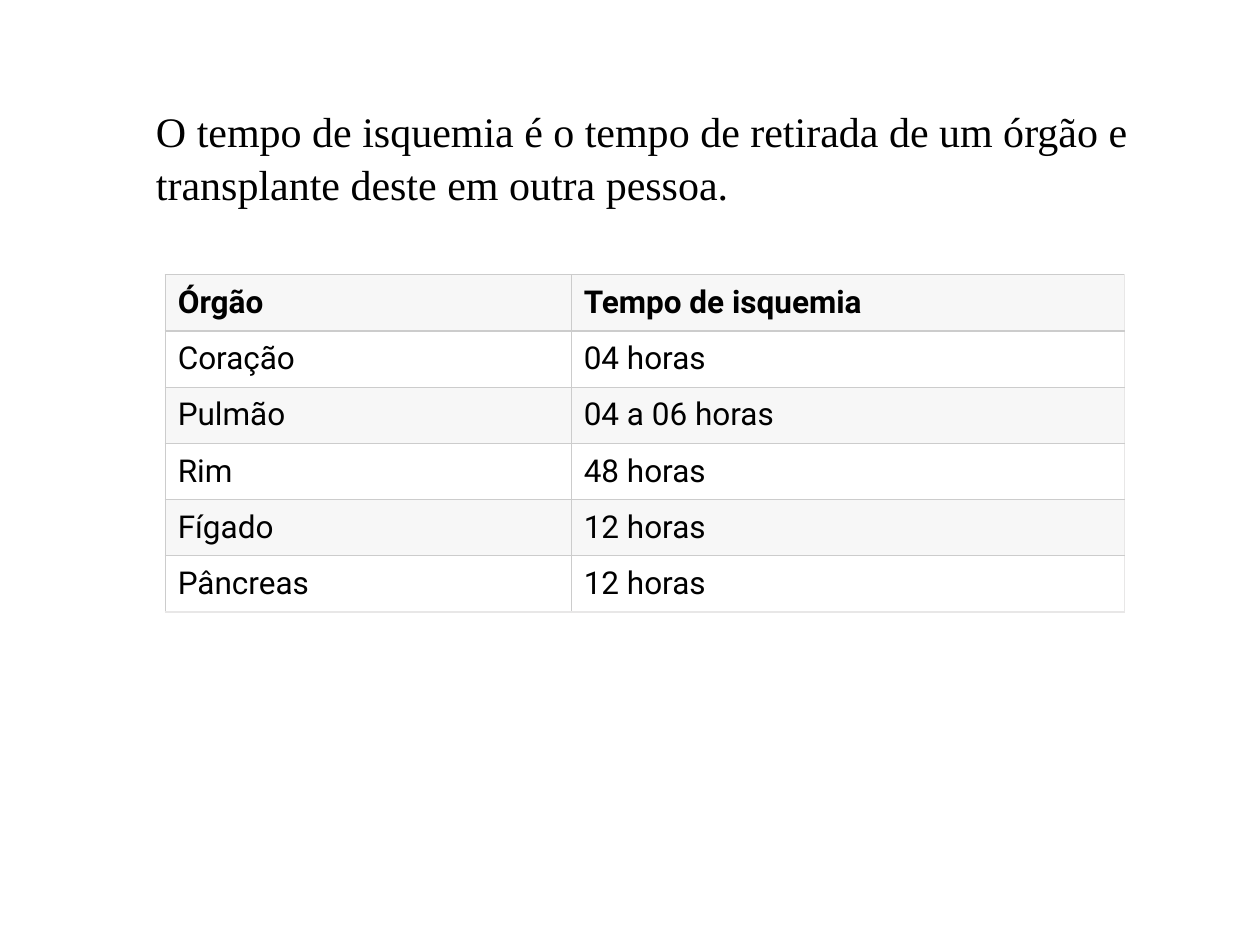
import pptx
import pptx.util
import pptx.dml.color
import pptx.enum.text
import pptx.oxml.ns
from lxml import etree

Pt = pptx.util.Pt

INTRO = "O tempo de isquemia é o tempo de retirada de um órgão e transplante deste em outra pessoa."
ROWS = [
    ("Órgão", "Tempo de isquemia"),
    ("Coração", "04 horas"),
    ("Pulmão", "04 a 06 horas"),
    ("Rim", "48 horas"),
    ("Fígado", "12 horas"),
    ("Pâncreas", "12 horas"),
]
COLUMN_WIDTHS = (232, 316.4)
ROW_HEIGHT = 32.12
TABLE_LEFT, TABLE_TOP = 94.4, 157
BAND, PLAIN = "F7F7F7", "FFFFFF"
INNER_LINE, OUTER_LINE = "CCCCCC", "E8E7E7"


def color(value):
    return pptx.dml.color.RGBColor.from_string(value)


def write(frame, text, font, size, bold=False, spacing=None):
    frame.word_wrap = True
    para = frame.paragraphs[0]
    para.line_spacing = spacing
    span = para.add_run()
    span.text = text
    span.font.name = font
    span.font.size = Pt(size)
    span.font.bold = bold
    span.font.color.rgb = color("000000")


def set_borders(cell, edges):
    properties = cell._tc.get_or_add_tcPr()
    qn = pptx.oxml.ns.qn
    for index, (side, value) in enumerate(edges.items()):
        line = etree.Element(qn(f"a:ln{side}"), w=str(Pt(0.75)))
        fill = etree.SubElement(line, qn("a:solidFill"))
        etree.SubElement(fill, qn("a:srgbClr"), val=value)
        properties.insert(index, line)


def add_organ_table(page):
    table = page.shapes.add_table(
        len(ROWS), len(COLUMN_WIDTHS), Pt(TABLE_LEFT), Pt(TABLE_TOP),
        Pt(sum(COLUMN_WIDTHS)), Pt(ROW_HEIGHT * len(ROWS)),
    ).table
    for column, width in zip(table.columns, COLUMN_WIDTHS):
        column.width = Pt(width)
    for row_index, values in enumerate(ROWS):
        table.rows[row_index].height = Pt(ROW_HEIGHT)
        last_row = row_index == len(ROWS) - 1
        for column_index, text in enumerate(values):
            last_column = column_index == len(values) - 1
            cell = table.cell(row_index, column_index)
            cell.fill.solid()
            cell.fill.fore_color.rgb = color(PLAIN if row_index % 2 else BAND)
            cell.vertical_anchor = pptx.enum.text.MSO_ANCHOR.MIDDLE
            cell.margin_left = cell.margin_right = Pt(7.2)
            cell.margin_top = cell.margin_bottom = Pt(3.6)
            write(cell.text_frame, text, font="Roboto", size=18, bold=row_index == 0)
            set_borders(cell, {
                "L": INNER_LINE,
                "R": OUTER_LINE if last_column else INNER_LINE,
                "T": INNER_LINE,
                "B": OUTER_LINE if last_row else INNER_LINE,
            })


def main():
    deck = pptx.Presentation()
    deck.slide_width, deck.slide_height = Pt(720), Pt(540)
    page = deck.slides.add_slide(deck.slide_layouts[6])
    add_organ_table(page)
    box = page.shapes.add_textbox(Pt(82), Pt(55), Pt(572.4), Pt(65.5))
    write(box.text_frame, INTRO, font="Times New Roman", size=24, spacing=1.06)
    deck.save("out.pptx")


if __name__ == "__main__":
    main()
